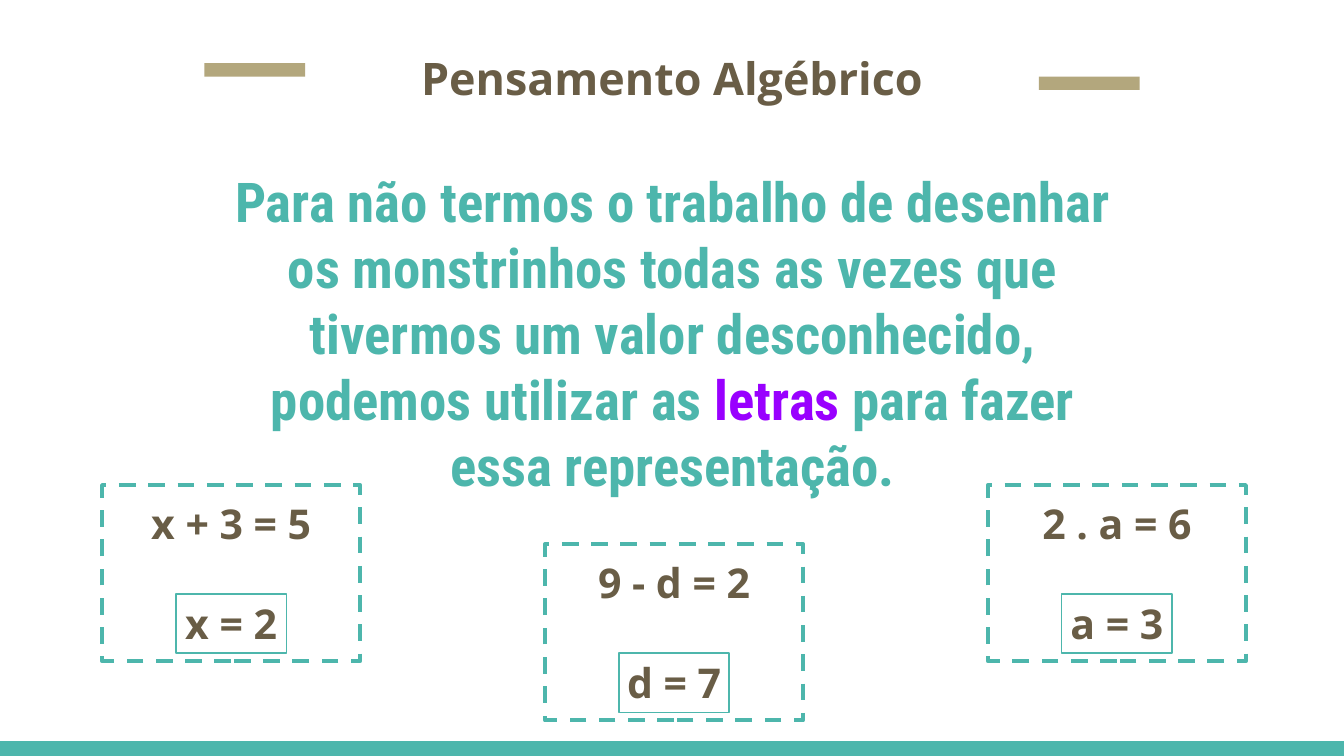
import pptx
import pptx.dml.color
import pptx.enum.dml
import pptx.enum.shapes
import pptx.enum.text
import pptx.util

SLIDE_WIDTH = 10
SLIDE_HEIGHT = SLIDE_WIDTH * 9 / 16
COLORS = {"teal": "4DB6AC", "brown": "695D46", "sand": "B3A77D", "purple": "9900FF"}
HEADING_FONT, BODY_FONT = "Roboto Condensed", "Open Sans"

# Grid of equation cards: first and last left edges, and the two row tops
FIRST_CARD_LEFT, LAST_CARD_LEFT = 0.76, 7.35
ROW_TOPS = (3.61, 4.05)
CARD_WIDTH, CARD_HEIGHT = 1.92, 1.31
ANSWER_WIDTH, ANSWER_HEIGHT, ANSWER_OFFSET = 0.82, 0.44, 0.81

# Equation, solution, row
CARDS = (
    ("x + 3 = 5", "x = 2", 0),
    ("9 - d = 2", "d = 7", 1),
    ("2 . a = 6", "a = 3", 0),
)
CARD_STEP = (LAST_CARD_LEFT - FIRST_CARD_LEFT) / (len(CARDS) - 1)


def rgb(color):
    return pptx.dml.color.RGBColor.from_string(COLORS[color])


def to_lengths(*inches):
    return [pptx.util.Inches(value) for value in inches]


def format_run(run, font, size, color):
    run.font.name = font
    run.font.size = pptx.util.Pt(size)
    run.font.bold = True
    run.font.color.rgb = rgb(color)


def prepare_frame(shape, anchor):
    frame = shape.text_frame
    frame.word_wrap = True
    frame.vertical_anchor = anchor
    inset = pptx.util.Inches(0.1)
    frame.margin_left = frame.margin_right = inset
    frame.margin_top = frame.margin_bottom = inset
    return frame


def add_rectangle(slide, left, top, width, height, fill=None, line_width=None):
    shape = slide.shapes.add_shape(
        pptx.enum.shapes.MSO_SHAPE.RECTANGLE, *to_lengths(left, top, width, height))
    shape.shadow.inherit = False
    if fill:
        shape.fill.solid()
        shape.fill.fore_color.rgb = rgb(fill)
    else:
        shape.fill.background()
    if line_width:
        shape.line.color.rgb = rgb("teal")
        shape.line.width = pptx.util.Pt(line_width)
    else:
        shape.line.fill.background()
    return shape


def add_text(slide, left, top, width, height, pieces, font, size, line_spacing):
    """Add one centred paragraph made of (text, color) pieces."""
    box = slide.shapes.add_textbox(*to_lengths(left, top, width, height))
    frame = prepare_frame(box, pptx.enum.text.MSO_ANCHOR.TOP)
    paragraph = frame.paragraphs[0]
    paragraph.alignment = pptx.enum.text.PP_ALIGN.CENTER
    paragraph.line_spacing = line_spacing
    for text, color in pieces:
        run = paragraph.add_run()
        run.text = text
        format_run(run, font, size, color)


def add_equation_card(slide, column, row, equation, solution):
    left, top = FIRST_CARD_LEFT + column * CARD_STEP, ROW_TOPS[row]
    card = add_rectangle(slide, left, top, CARD_WIDTH, CARD_HEIGHT, line_width=2.25)
    card.line.dash_style = pptx.enum.dml.MSO_LINE.DASH
    frame = prepare_frame(card, pptx.enum.text.MSO_ANCHOR.MIDDLE)
    frame.text = f"{equation}\n{solution}"
    for paragraph in frame.paragraphs:
        paragraph.alignment = pptx.enum.text.PP_ALIGN.CENTER
        format_run(paragraph.runs[0], BODY_FONT, 22, "brown")
    frame.paragraphs[1].space_before = pptx.util.Pt(27)

    # Thin frame around the solution, centred in the card
    add_rectangle(slide, left + (CARD_WIDTH - ANSWER_WIDTH) / 2, top + ANSWER_OFFSET,
                  ANSWER_WIDTH, ANSWER_HEIGHT, line_width=0.75)


def main():
    presentation = pptx.Presentation()
    presentation.slide_width, presentation.slide_height = to_lengths(
        SLIDE_WIDTH, SLIDE_HEIGHT)
    slide = presentation.slides.add_slide(presentation.slide_layouts[6])

    # Footer band
    add_rectangle(slide, 0, SLIDE_HEIGHT - 0.11, SLIDE_WIDTH, 0.11, fill="teal")

    # Main statement
    statement = (
        ("Para não termos o trabalho de desenhar os monstrinhos todas as vezes que "
         "tivermos um valor desconhecido, podemos utilizar as ", "teal"),
        ("letras ", "purple"),
        ("para fazer essa representação.", "teal"),
    )
    add_text(slide, 1.52, 1.15, 6.97, 3.16, statement, HEADING_FONT, 29.4, 1.0)

    # Heading between two accent bars
    add_text(slide, 0.77, 0.22, 8.46, 0.8, [("Pensamento Algébrico", "brown")],
             BODY_FONT, 24, 1.15)
    for left, top in ((1.52, 0.47), (7.73, 0.57)):
        add_rectangle(slide, left, top, 0.75, 0.1, fill="sand")

    # Equations with their solutions
    for column, (equation, solution, row) in enumerate(CARDS):
        add_equation_card(slide, column, row, equation, solution)

    presentation.save("out.pptx")


if __name__ == "__main__":
    main()
